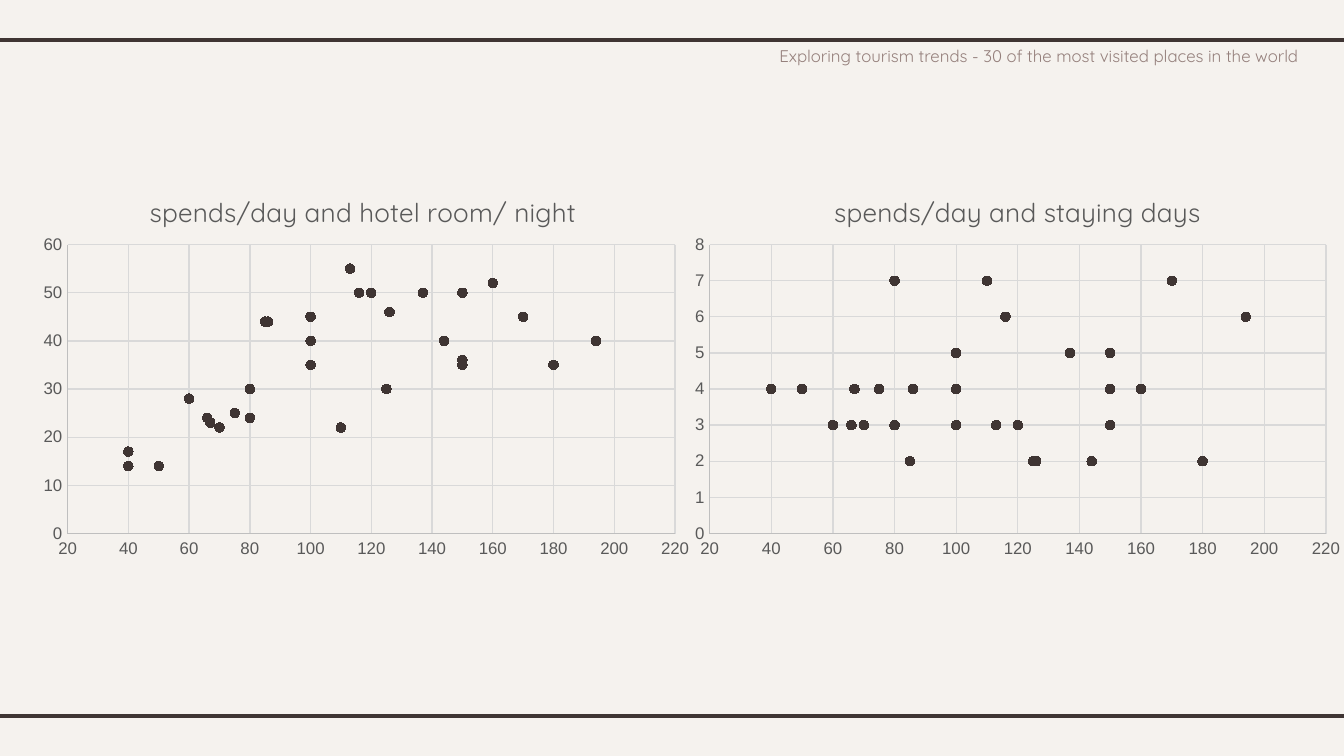
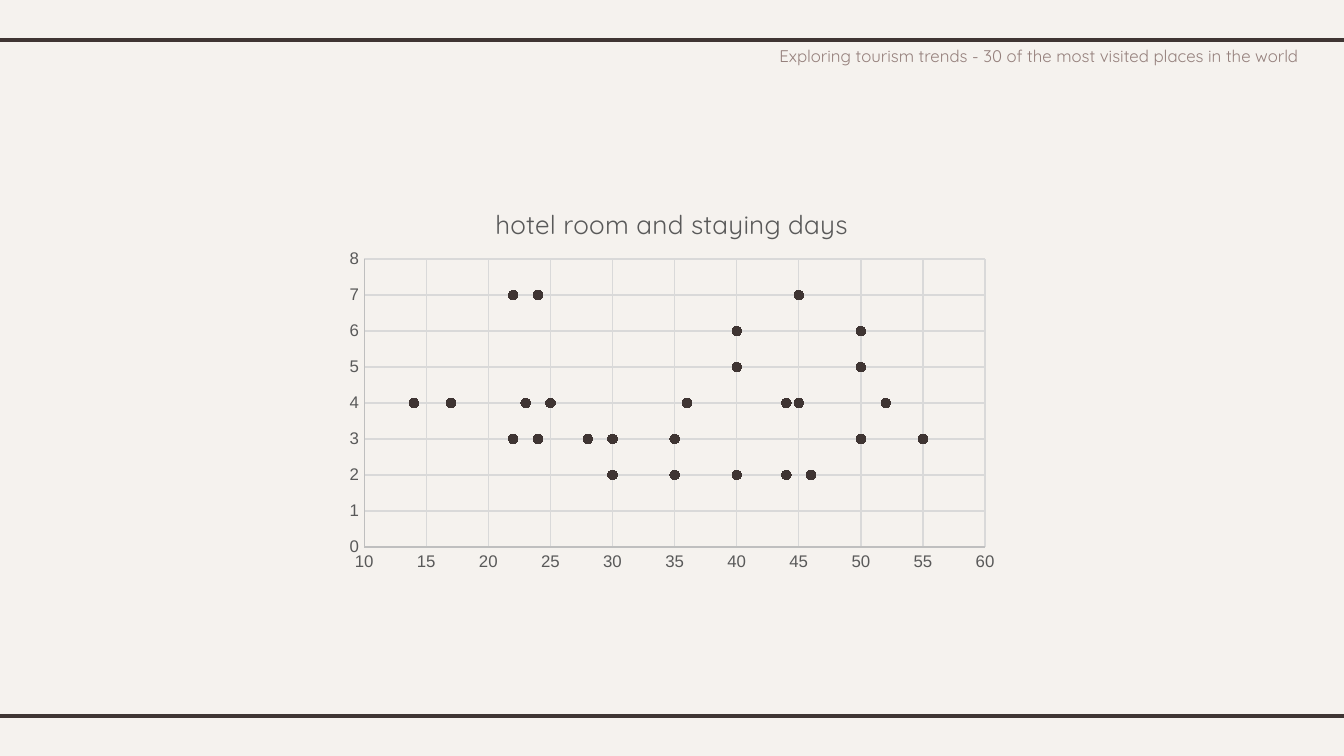
from lxml import etree
from pptx import Presentation
from pptx.chart.data import XyChartData
from pptx.dml.color import RGBColor
from pptx.enum.chart import XL_CHART_TYPE, XL_MARKER_STYLE, XL_TICK_MARK
from pptx.enum.shapes import MSO_CONNECTOR
from pptx.enum.text import MSO_AUTO_SIZE
from pptx.oxml.ns import qn
from pptx.util import Cm, Pt

HEADER = "Exploring tourism trends - 30 of the most visited places in the world"
SPENDS = [75, 170, 150, 110, 100, 194, 116, 80, 180, 144, 113, 60, 160, 85, 67,
          100, 125, 150, 66, 137, 100, 126, 80, 150, 40, 120, 40, 86, 50, 70]
ROOM = [25, 45, 35, 22, 45, 40, 50, 24, 35, 40, 55, 28, 52, 44, 23,
        40, 30, 36, 24, 50, 35, 46, 30, 50, 14, 50, 17, 44, 14, 22]
DAYS = [4, 7, 3, 7, 4, 6, 6, 7, 2, 2, 3, 3, 4, 2, 4,
        5, 2, 4, 3, 5, 3, 2, 3, 5, 4, 3, 4, 4, 4, 3]

SPENDS_SCALE = {"minimum_scale": 20, "maximum_scale": 220, "major_unit": 20}
ROOM_SCALE = {"minimum_scale": 0, "maximum_scale": 60, "major_unit": 10}
ROOM_ACROSS_SCALE = {"minimum_scale": 10, "maximum_scale": 60, "major_unit": 5}
DAYS_SCALE = {"minimum_scale": 0, "maximum_scale": 8, "major_unit": 1}

SLIDES = [
    [
        {"title": "spends/day and hotel room/ night", "x": SPENDS, "y": ROOM,
         "scales": (SPENDS_SCALE, ROOM_SCALE), "at": (0.58, 3.1),
         "title_at": {"x": 0.17, "y": 0.06},
         "plot_at": {"x": 0.055, "y": 0.2, "w": 0.904, "h": 0.717}},
        {"title": "spends/day and staying days", "x": SPENDS, "y": DAYS,
         "scales": (SPENDS_SCALE, DAYS_SCALE), "at": (12.88, 3.1),
         "title_at": {"x": 0.22, "y": 0.06},
         "plot_at": {"x": 0.042, "y": 0.2, "w": 0.917, "h": 0.717}},
    ],
    [
        {"title": "hotel room and staying days", "x": ROOM, "y": DAYS,
         "scales": (ROOM_ACROSS_SCALE, DAYS_SCALE), "at": (6.35, 3.33),
         "title_at": {"x": 0.23, "y": 0.06},
         "plot_at": {"x": 0.042, "y": 0.206, "w": 0.924, "h": 0.714}},
    ],
]

PAPER = RGBColor(0xF5, 0xF2, 0xEE)
DARK = RGBColor(0x3F, 0x35, 0x33)
MAUVE = RGBColor(0x95, 0x80, 0x7C)
GREY = RGBColor(0x59, 0x59, 0x59)
AXIS_GREY = RGBColor(0xBF, 0xBF, 0xBF)
GRID_GREY = RGBColor(0xD9, 0xD9, 0xD9)
BLACK = RGBColor(0, 0, 0)

SCATTER = XL_CHART_TYPE.XY_SCATTER
CIRCLE = XL_MARKER_STYLE.CIRCLE
NO_TICK = XL_TICK_MARK.NONE
STRAIGHT = MSO_CONNECTOR.STRAIGHT
GROW = MSO_AUTO_SIZE.SHAPE_TO_FIT_TEXT

SLIDE_W, SLIDE_H = 25.4, 14.29
CHART_W, CHART_H = 12.7, 7.62
OVERHANG = 0.2
RULE_TOPS = (13.54, 0.76)
HEADER_BOX = (14.48, 0.74, 10.92, 1.07)

HEADER_FONT = {"name": "Quicksand", "size": Pt(9), "color": MAUVE}
TITLE_FONT = {"name": "Quicksand", "size": Pt(14), "bold": False, "color": GREY}
CHART_FONT = {"name": "Arial", "size": Pt(10), "color": BLACK}
LABEL_FONT = {"name": "Arial", "size": Pt(9), "color": GREY}
AXIS_FORMAT = {"has_major_gridlines": True, "has_minor_gridlines": False,
               "major_tick_mark": NO_TICK, "minor_tick_mark": NO_TICK}


def apply(target, values):
    for key, value in values.items():
        if key == "color":
            target.color.rgb = value
        else:
            setattr(target, key, value)


def draw_line(line, color, width):
    line.color.rgb = color
    line.width = Pt(width)


def place(parent, index, values, inner=False):
    layout = parent.find(qn("c:layout"))
    if layout is not None:
        parent.remove(layout)
    layout = etree.Element(qn("c:layout"))
    parent.insert(index, layout)
    manual = etree.SubElement(layout, qn("c:manualLayout"))
    entries = {"layoutTarget": "inner"} if inner else {}
    entries |= {"xMode": "edge", "yMode": "edge"} | values
    for tag, value in entries.items():
        etree.SubElement(manual, qn("c:" + tag)).set("val", str(value))


def add_rules(slide, master):
    for number, top in enumerate(RULE_TOPS):
        rule = slide.shapes.add_connector(
            STRAIGHT, Cm(-OVERHANG), Cm(top), Cm(SLIDE_W + OVERHANG), Cm(top))
        draw_line(rule.line, DARK, 2.25)
        etree.SubElement(rule.element.spPr, qn("a:effectLst"))
        rule.element.nvCxnSpPr.cNvPr.set("id", str(100 + number))
        master.element.cSld.spTree.append(rule.element)


def add_header(slide):
    header = slide.shapes.add_textbox(*map(Cm, HEADER_BOX)).text_frame
    apply(header, {"word_wrap": False, "auto_size": GROW})
    run = header.paragraphs[0].add_run()
    run.text = HEADER
    apply(run.font, HEADER_FONT)


def add_scatter(slide, content):
    data = XyChartData()
    places = data.add_series("Series 1")
    for x, y in zip(content["x"], content["y"]):
        places.add_data_point(x, y)
    left, top = content["at"]
    chart = slide.shapes.add_chart(
        SCATTER, Cm(left), Cm(top), Cm(CHART_W), Cm(CHART_H), data).chart
    chart.has_legend = False
    apply(chart.font, CHART_FONT)

    title = chart.chart_title
    run = title.text_frame.paragraphs[0].add_run()
    run.text = content["title"]
    apply(run.font, TITLE_FONT)
    title.include_in_layout = False
    place(title.element if hasattr(title, "element") else chart.element.find(
        ".//" + qn("c:title")), 1, content["title_at"])
    place(chart.element.find(".//" + qn("c:plotArea")), 0,
          content["plot_at"], inner=True)

    for axis, scale in zip((chart.category_axis, chart.value_axis),
                           content["scales"]):
        apply(axis, AXIS_FORMAT | scale)
        apply(axis.tick_labels.font, LABEL_FONT)
        draw_line(axis.format.line, AXIS_GREY, 0.75)
        draw_line(axis.major_gridlines.format.line, GRID_GREY, 0.75)

    plot = chart.plots[0]
    plot.vary_by_categories = False
    series = plot.series[0]
    series.format.line.fill.background()
    marker = series.marker
    apply(marker, {"style": CIRCLE, "size": 5})
    marker.format.fill.solid()
    marker.format.fill.fore_color.rgb = DARK
    draw_line(marker.format.line, DARK, 0.75)


def main():
    deck = Presentation()
    apply(deck, {"slide_width": Cm(SLIDE_W), "slide_height": Cm(SLIDE_H)})
    master = deck.slide_master
    master.background.fill.solid()
    master.background.fill.fore_color.rgb = PAPER
    for number, charts in enumerate(SLIDES):
        slide = deck.slides.add_slide(deck.slide_layouts[6])
        if number == 0:
            add_rules(slide, master)
        for content in charts:
            add_scatter(slide, content)
        add_header(slide)
    deck.save("out.pptx")


if __name__ == "__main__":
    main()
